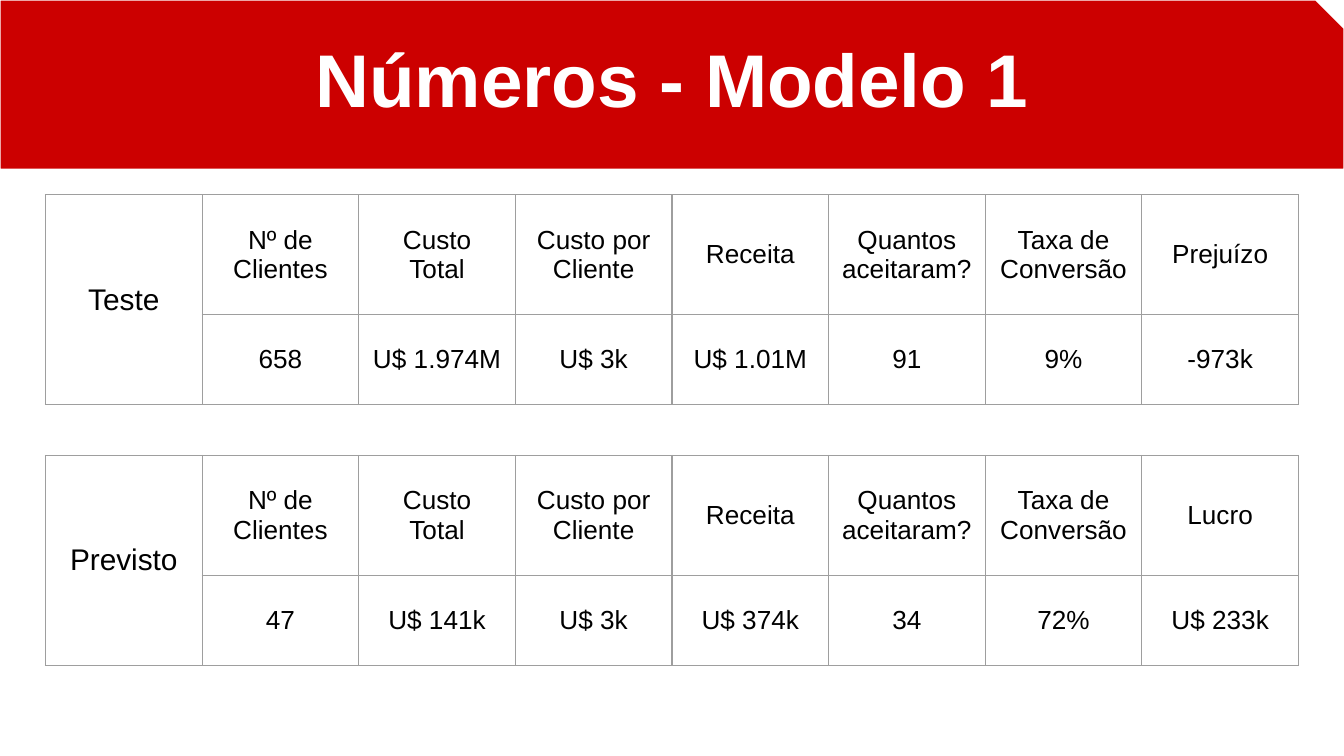
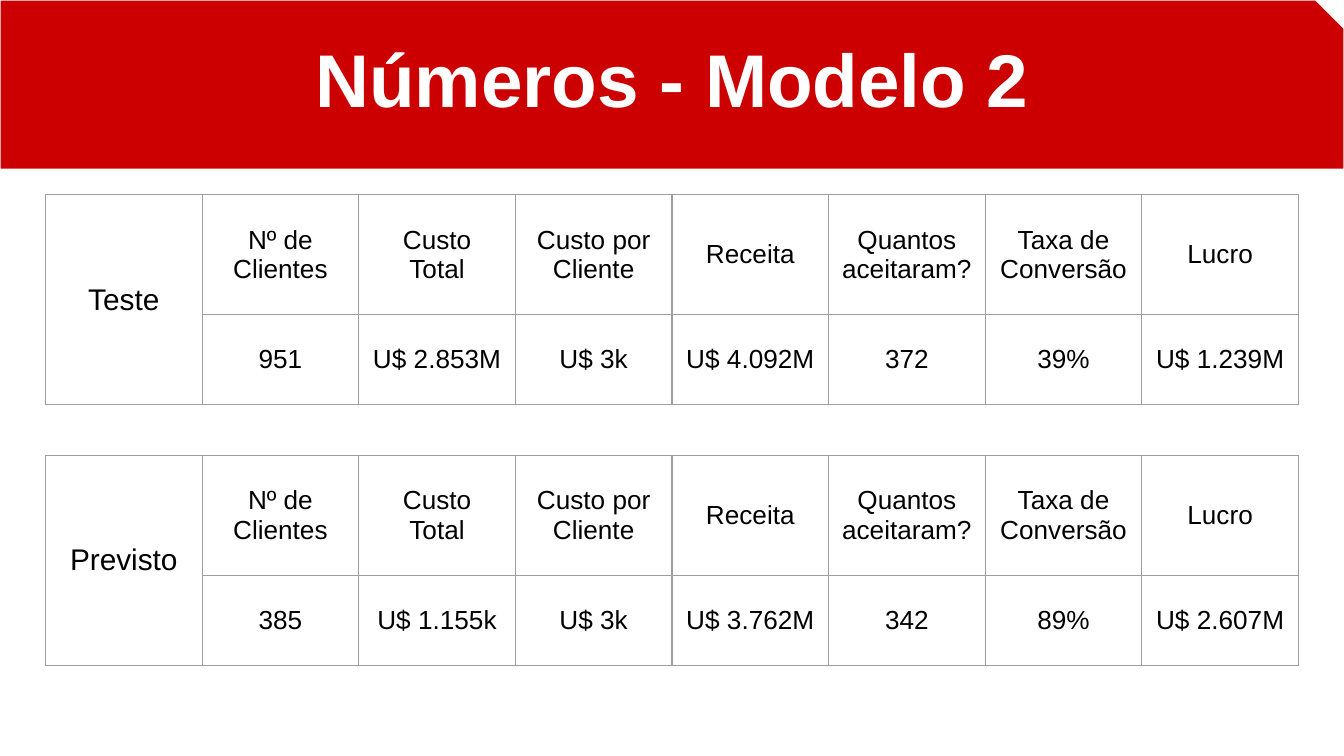
from lxml import etree
from pptx import Presentation
from pptx.dml.color import RGBColor
from pptx.enum import shapes, text
from pptx.oxml import ns
from pptx.util import Cm, Pt

RED, WHITE, BLACK, GREY = "CC0000", "FFFFFF", "000000", "9E9E9E"
LEFT, WIDE, PAD = Cm(0.86), Cm(23.68), Cm(0.25)
TOPS = [Cm(3.68), Cm(8.61)]
ROWS = [Cm(2.27), Cm(1.7)]
HEADS = ["Nº de Clientes", "Custo Total", "Custo por Cliente", "Receita",
         "Quantos aceitaram?", "Taxa de Conversão"]

# Each table: row label, heading of the last column, values
SLIDES = {
    "Números - Modelo 1": [
        ("Teste", "Prejuízo",
         ["658", "U$ 1.974M", "U$ 3k", "U$ 1.01M", "91", "9%", "-973k"]),
        ("Previsto", "Lucro",
         ["47", "U$ 141k", "U$ 3k", "U$ 374k", "34", "72%", "U$ 233k"]),
    ],
    "Números - Modelo 2": [
        ("Teste", "Lucro",
         ["951", "U$ 2.853M", "U$ 3k", "U$ 4.092M", "372", "39%", "U$ 1.239M"]),
        ("Previsto", "Lucro",
         ["385", "U$ 1.155k", "U$ 3k", "U$ 3.762M", "342", "89%", "U$ 2.607M"]),
    ],
}


def style(para, size, color, bold=False):
    para.alignment = text.PP_ALIGN.CENTER
    para.font.name = "Arial"
    para.font.size = Pt(size)
    para.font.bold = bold
    para.font.color.rgb = RGBColor.from_string(color)


def border(cell):
    props = cell._tc.get_or_add_tcPr()
    for side in ("a:lnL", "a:lnR", "a:lnT", "a:lnB"):
        line = etree.SubElement(props, ns.qn(side), w=str(Pt(0.75)))
        fill = etree.SubElement(line, ns.qn("a:solidFill"))
        etree.SubElement(fill, ns.qn("a:srgbClr"), val=GREY)


prs = Presentation()
prs.slide_width, prs.slide_height = Cm(25.4), Cm(14.29)

for name, tables in SLIDES.items():
    slide = prs.slides.add_slide(prs.slide_layouts[5])

    title = slide.shapes.title
    title.left, title.top, title.width, title.height = LEFT, Cm(0.38), WIDE, Cm(3.94)
    frame = title.text_frame
    frame.text = name
    frame.word_wrap = True
    frame.auto_size = text.MSO_AUTO_SIZE.SHAPE_TO_FIT_TEXT
    frame.vertical_anchor = text.MSO_ANCHOR.TOP
    frame.margin_left = frame.margin_right = PAD
    frame.margin_top = frame.margin_bottom = PAD
    style(frame.paragraphs[0], 40, WHITE, True)

    band = slide.shapes.add_shape(
        shapes.MSO_SHAPE.SNIP_1_RECTANGLE, 0, 0, prs.slide_width, Cm(3.2))
    band.shadow.inherit = False
    band.fill.solid()
    band.fill.fore_color.rgb = RGBColor.from_string(RED)
    band.line.color.rgb = RGBColor.from_string(WHITE)
    band.line.width = Pt(0.75)
    title.element.addprevious(band.element)  # band goes behind the title

    for top, (label, last, values) in zip(TOPS, tables):
        grid = [[label, *HEADS, last], ["", *values]]
        table = slide.shapes.add_table(
            2, len(values) + 1, LEFT, top, WIDE, sum(ROWS)).table
        table.first_row = table.horz_banding = False
        for row, high in zip(table.rows, ROWS):
            row.height = high
        for r, words in enumerate(grid):
            for c, word in enumerate(words):
                cell = table.cell(r, c)
                cell.text = word
                cell.vertical_anchor = text.MSO_ANCHOR.MIDDLE
                cell.margin_left = cell.margin_right = PAD
                cell.margin_top = cell.margin_bottom = PAD
                style(cell.text_frame.paragraphs[0], 14 if c else 16, BLACK)
                border(cell)
                cell.fill.background()
        table.cell(0, 0).merge(table.cell(1, 0))

prs.save("out.pptx")
